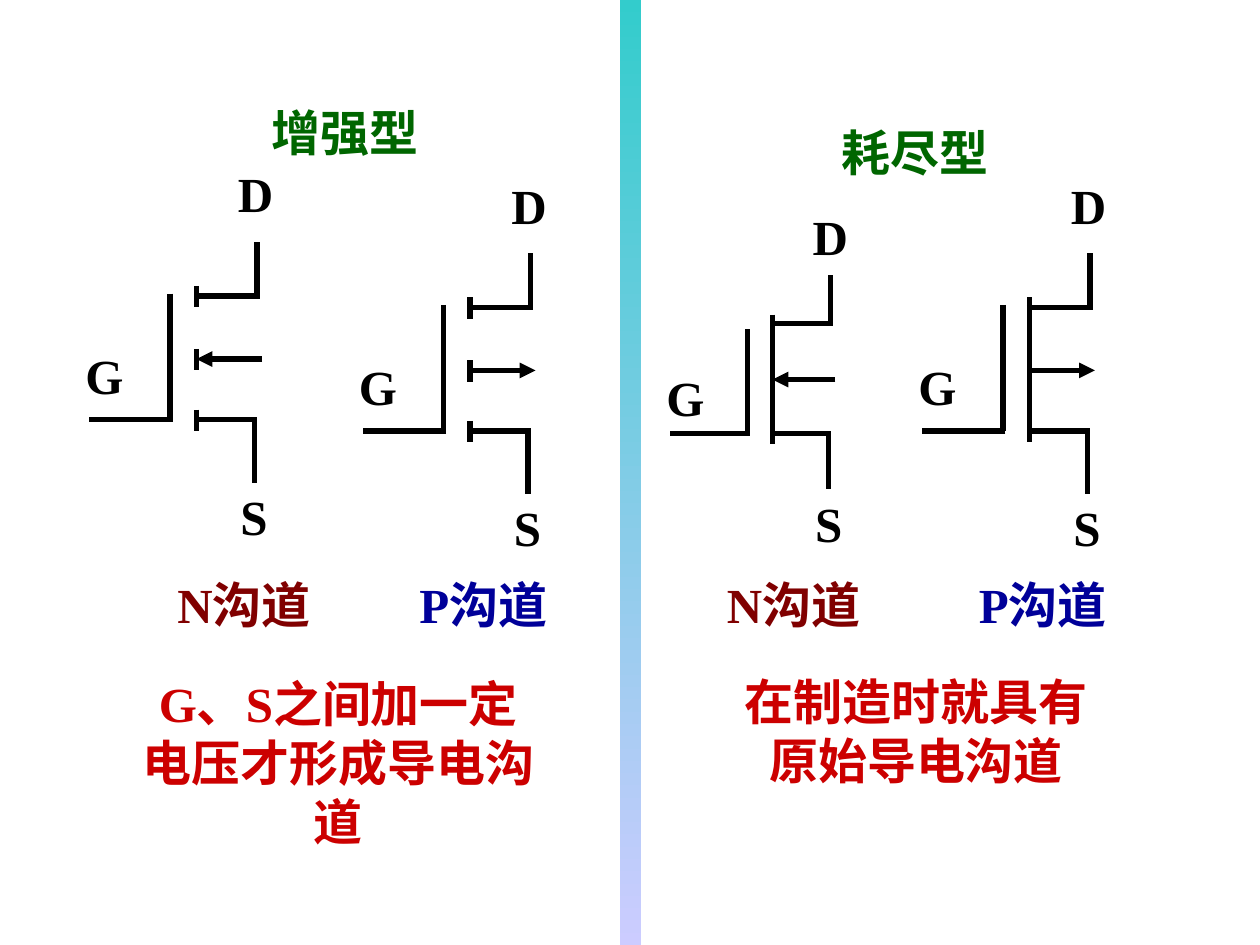
from lxml import etree
from pptx import Presentation, util as u
from pptx.dml import color
from pptx.enum import shapes, text
from pptx.oxml import ns

THEME = {
    "latin": "Times New Roman", "cjk": "Noto Sans CJK SC",
    "size": 28, "stroke": 3,
    "ink": "000000", "heading": "006600", "n": "800000", "p": "000099",
    "condition": "CC0000", "divider": ("CCCCFF", "33CCCC"),
}

TITLE = ("耗尽型", 6.58, 0.83)
HEADING = ("增强型", 2.06, 0.67)
CHANNELS = [("N沟道", "n", 1.31), ("P沟道", "p", 3.23),
            ("N沟道", "n", 5.67), ("P沟道", "p", 7.67)]
CHANNEL_TOP = 4.42
CAPTION_SIZE = (1.83, 0.75)

CONDITIONS = [
    ((0.84, 5.3, 3.69, 1.04),
     [[("G、S", "latin"), ("之间加一定", "cjk")], [("电压才形成导电沟道", "cjk")]]),
    ((5.81, 5.28, 2.92, 1.04),
     [[("在制造时就具有", "latin")], [("原始", "latin"), ("导电沟道", "cjk")]]),
]

TRANSISTORS = [
    {"origin": (1.35, 3.33), "scale": (1, 1), "gate": 1, "kind": "n", "depletion": False},
    {"origin": (3.52, 3.42), "scale": (1, 1), "gate": 1, "kind": "p", "depletion": False},
    {"origin": (5.93, 3.44), "scale": (0.96, 0.89), "gate": 0.93, "kind": "n", "depletion": True},
    {"origin": (7.96, 3.42), "scale": (1, 1), "gate": 1, "kind": "p", "depletion": True},
]

CHANNEL_X = 0.21
WIRES = [
    (0.02, 0, -0.64, 0),
    (0.19, -0.98, 0.71, -0.98),
    (0.69, -0.96, 0.69, -1.41),
    (CHANNEL_X, 0, 0.69, 0),
    (0.67, -0.02, 0.67, 0.5),
] + [(CHANNEL_X, top, CHANNEL_X, top + 0.17) for top in (-1.06, -0.56, -0.08)]
CHANNEL = (CHANNEL_X, -1.02, CHANNEL_X, 0)
BODY_ARROW = (CHANNEL_X, -0.48, 0.73, -0.48)
TERMINALS = [("G", -0.77, -0.64, 0.67), ("S", 0.46, 0.48, 0.69), ("D", 0.44, -2.08, 0.77)]
TERMINAL_HEIGHT = 0.57


def rgb(value):
    return color.RGBColor.from_string(value)


def style(paragraph, tint):
    font = paragraph.font
    font.name, font.size, font.bold = THEME["latin"], u.Pt(THEME["size"]), True
    font.color.rgb = rgb(THEME[tint])


def write(frame, content, tint, align, anchor):
    frame.vertical_anchor = anchor
    for index, runs in enumerate(content):
        paragraph = frame.add_paragraph() if index else frame.paragraphs[0]
        paragraph.alignment = align
        for words, face in runs:
            run = paragraph.add_run()
            run.text = words
            if face != "latin":
                run.font.name = THEME[face]
        style(paragraph, tint)


def add_label(slide, words, box, tint, anchor):
    label = slide.shapes.add_textbox(*map(u.Inches, box))
    label.text_frame.word_wrap = True
    write(label.text_frame, [[(words, "latin")]], tint, text.PP_ALIGN.LEFT, anchor)


def add_wire(slide, ends, arrow=False):
    wire = slide.shapes.add_connector(shapes.MSO_CONNECTOR.STRAIGHT, *map(u.Inches, ends))
    wire.line.color.rgb = rgb(THEME["ink"])
    wire.line.width = u.Pt(THEME["stroke"])
    if arrow:
        etree.SubElement(wire.line._get_or_add_ln(), ns.qn("a:tailEnd"), type="triangle")
    etree.SubElement(wire._element.spPr, ns.qn("a:effectLst"))


def add_transistor(slide, origin, scale, gate, kind, depletion):
    def place(x, y):
        return origin[0] + x * scale[0], origin[1] + y * scale[1]

    wires = [(0, -gate, 0, 0)] + WIRES + ([CHANNEL] if depletion else [])
    for x1, y1, x2, y2 in wires:
        add_wire(slide, place(x1, y1) + place(x2, y2))

    inner, outer = place(*BODY_ARROW[:2]), place(*BODY_ARROW[2:])
    add_wire(slide, outer + inner if kind == "n" else inner + outer, arrow=True)

    for terminal, x, y, width in TERMINALS:
        box = place(x, y) + (width * scale[0], TERMINAL_HEIGHT)
        add_label(slide, terminal, box, "ink", text.MSO_ANCHOR.TOP)


def add_title(slide):
    words, left, top = TITLE
    title = slide.shapes.title
    title.left, title.top, title.width, title.height = map(u.Inches, (left, top) + CAPTION_SIZE)
    write(title.text_frame, [[(words, "latin")]], "heading",
          text.PP_ALIGN.LEFT, text.MSO_ANCHOR.MIDDLE)


def add_divider(slide):
    divider = slide.shapes.add_shape(shapes.MSO_SHAPE.RECTANGLE,
                                     *map(u.Inches, (4.92, 0, 0.17, 7.5)))
    divider.shadow.inherit = False
    divider.line.fill.background()
    divider.fill.gradient()
    divider.fill.gradient_angle = 90
    for stop, tint in zip(divider.fill.gradient_stops, THEME["divider"]):
        stop.color.rgb = rgb(tint)


def main():
    deck = Presentation()
    deck.slide_width, deck.slide_height = u.Inches(10), u.Inches(7.5)
    slide = deck.slides.add_slide(deck.slide_layouts[5])

    add_title(slide)
    for transistor in TRANSISTORS:
        add_transistor(slide, **transistor)

    captions = [(HEADING[0], "heading") + HEADING[1:]]
    captions += [channel + (CHANNEL_TOP,) for channel in CHANNELS]
    for words, tint, left, top in captions:
        add_label(slide, words, (left, top) + CAPTION_SIZE, tint, text.MSO_ANCHOR.MIDDLE)

    add_divider(slide)
    for box, lines in CONDITIONS:
        condition = slide.shapes.add_textbox(*map(u.Inches, box))
        condition.text_frame.word_wrap = False
        write(condition.text_frame, lines, "condition",
              text.PP_ALIGN.CENTER, text.MSO_ANCHOR.TOP)

    deck.save("out.pptx")


if __name__ == "__main__":
    main()
